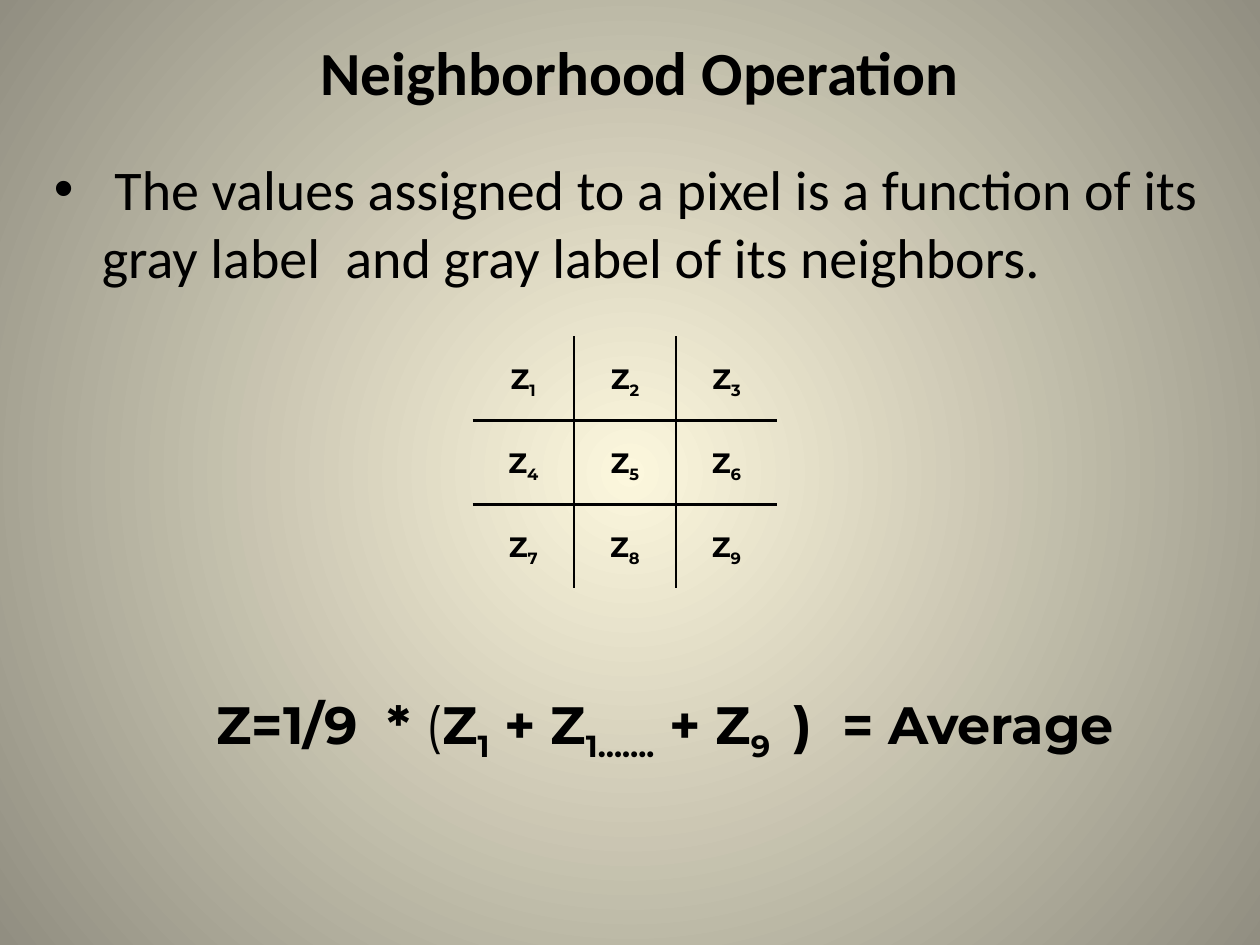
import pptx
import pptx.dml.color
import pptx.enum.text
import pptx.oxml
import pptx.oxml.ns
import pptx.util
from dataclasses import dataclass

Inches = pptx.util.Inches
Pt = pptx.util.Pt
ALIGN = pptx.enum.text.PP_ALIGN
ANCHOR = pptx.enum.text.MSO_ANCHOR
NS = pptx.oxml.ns.nsdecls("a")


@dataclass
class Theme:
    """Colours, fonts and sizes of the deck."""
    ink: str = "000000"
    glow: str = "FCF7DD"
    edge: str = "918E81"
    sans: str = "Calibri"
    math: str = "Montserrat"
    title: int = 35
    body: int = 32
    sum: int = 30
    cell: int = 16
    rule: float = 1.5


class Page:
    """One slide and the style it is drawn in."""

    def __init__(self, deck, theme):
        """Add a blank slide."""
        self.theme = theme
        self.slide = deck.slides.add_slide(deck.slide_layouts[6])

    def glow(self):
        """Fill the background with a round gradient."""
        fill = self.slide.background.fill
        fill.gradient()
        tones = (self.theme.glow, self.theme.edge)
        for stop, tone in zip(fill.gradient_stops, tones):
            stop.color.rgb = pptx.dml.color.RGBColor.from_string(tone)
        grad = self.slide.element.find(".//" + pptx.oxml.ns.qn("a:gradFill"))
        grad.replace(grad.find(pptx.oxml.ns.qn("a:lin")), pptx.oxml.parse_xml(
            f'<a:path {NS} path="circle"><a:fillToRect l="50000" t="50000"'
            ' r="50000" b="50000"/></a:path>'))

    def run(self, para, text, face, size, bold=False, sub=False):
        """Add one run to a paragraph."""
        run = para.add_run()
        run.text = text
        font = run.font
        font.name, font.size, font.bold = face, Pt(size), bold
        font.color.rgb = pptx.dml.color.RGBColor.from_string(self.theme.ink)
        if sub:
            run._r.get_or_add_rPr().set("baseline", "-25000")

    def text(self, box, align=ALIGN.LEFT, anchor=ANCHOR.TOP):
        """Add a text box and return its first paragraph."""
        frame = self.slide.shapes.add_textbox(*map(Inches, box)).text_frame
        frame.word_wrap = True
        frame.vertical_anchor = anchor
        para = frame.paragraphs[0]
        para.alignment = align
        return para

    def bullet(self, para, indent):
        """Give a paragraph a hanging bullet."""
        props = para._p.get_or_add_pPr()
        props.set("marL", str(Inches(indent)))
        props.set("indent", str(-Inches(indent)))
        props.append(pptx.oxml.parse_xml(f'<a:buFont {NS} typeface="Arial"/>'))
        props.append(pptx.oxml.parse_xml(f'<a:buChar {NS} char="\u2022"/>'))

    def edges(self, cell, drawn):
        """Rule the named sides of a cell and clear the others."""
        props = cell._tc.get_or_add_tcPr()
        for spot, side in enumerate("LRTB"):
            paint = (f'<a:solidFill><a:srgbClr val="{self.theme.ink}"/></a:solidFill>'
                     if side in drawn else "<a:noFill/>")
            props.insert(spot, pptx.oxml.parse_xml(
                f'<a:ln{side} {NS} w="{Pt(self.theme.rule)}">{paint}</a:ln{side}>'))

    def grid(self, box, count):
        """Add a square mask of numbered Z cells with inner rules only."""
        table = self.slide.shapes.add_table(count, count, *map(Inches, box)).table
        table.first_row = table.horz_banding = False
        for col in table.columns:
            col.width = int(Inches(box[2]) / count)
        for row in table.rows:
            row.height = int(Inches(box[3]) / count)
        last = count - 1
        for spot, cell in enumerate(table.iter_cells()):
            row, col = divmod(spot, count)
            cell.fill.background()
            cell.vertical_anchor = ANCHOR.MIDDLE
            cell.margin_left = cell.margin_right = Inches(0.07)
            cell.margin_top = cell.margin_bottom = 0
            inner = {"L": col > 0, "R": col < last, "T": row > 0, "B": row < last}
            self.edges(cell, [side for side, on in inner.items() if on])
            para = cell.text_frame.paragraphs[0]
            para.alignment = ALIGN.CENTER
            para.line_spacing = 1.15
            for text, sub in (("Z", False), (str(spot + 1), True)):
                self.run(para, text, self.theme.math, self.theme.cell, True, sub)


def main():
    """Build the slide and save it."""
    deck = pptx.Presentation()
    deck.slide_width, deck.slide_height = Inches(10), Inches(7.5)
    theme = Theme()
    page = Page(deck, theme)
    page.glow()

    title = page.text((0.58, 0.25, 9, 0.62), ALIGN.CENTER, ANCHOR.MIDDLE)
    page.run(title, "Neighborhood Operation", theme.sans, theme.title, True)

    point = page.text((0.33, 1.18, 9.42, 1.2))
    page.bullet(point, 0.38)
    page.run(point, " The values assigned to a pixel is a function of its gray label "
             " and gray label of its neighbors.", theme.sans, theme.body)

    page.grid((3.75, 2.67, 2.42, 2), 3)

    mean = page.text((0.78, 5.44, 9, 0.7), ALIGN.CENTER)
    parts = (("Z=1/9  * ", True, False), ("(", False, False), ("Z", True, False),
             ("1", True, True), (" + Z", True, False), ("1\u2026\u2026.", True, True),
             (" + Z", True, False), ("9 ", True, True), (" )  = Average", True, False))
    for text, bold, sub in parts:
        page.run(mean, text, theme.math, theme.sum, bold, sub)

    deck.save("out.pptx")


main()
